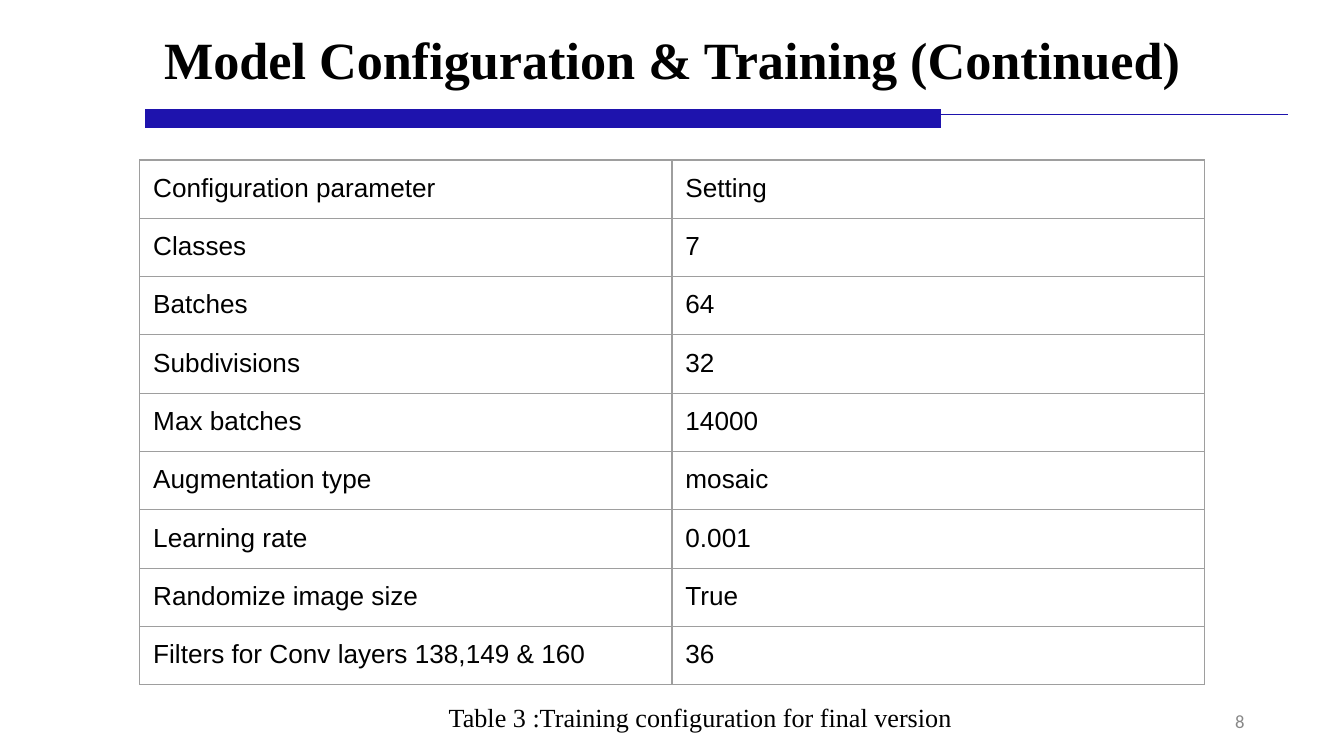
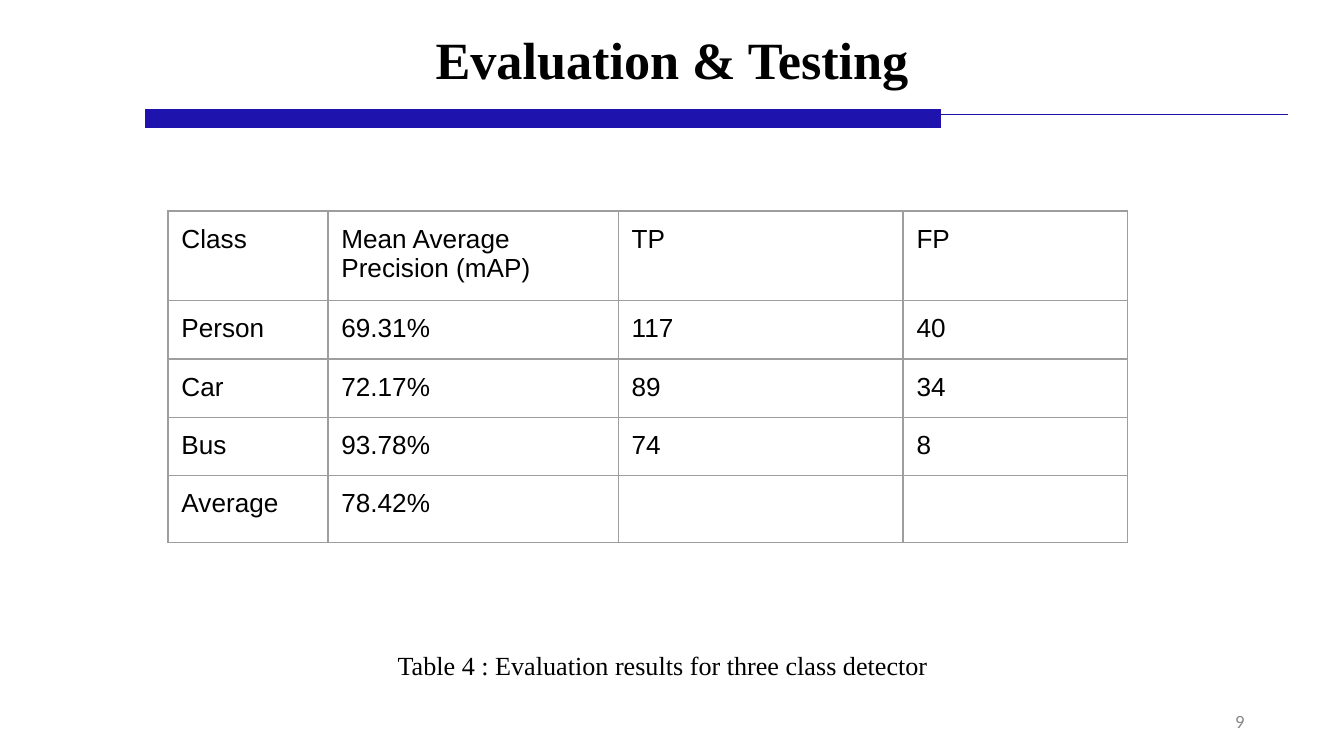
from dataclasses import dataclass

from lxml.etree import SubElement
from pptx import Presentation
from pptx.dml.color import RGBColor as Rgb
from pptx.enum.shapes import MSO_CONNECTOR as Link
from pptx.enum.text import MSO_ANCHOR as Anchor, PP_ALIGN as Align
from pptx.oxml.ns import qn
from pptx.util import Inches, Pt


@dataclass(frozen=True)
class Theme:
    ink: str = "000000"
    bar: str = "1E13AD"
    grid: str = "9E9E9E"
    mute: str = "888888"
    serif: str = "Times New Roman"
    sans: str = "Arial"
    foot: str = "Calibri"
    head: int = 28
    body: int = 14
    small: int = 10
    thin: float = 0.75
    thick: float = 10


THEME = Theme()
TITLE = (0.5, 0.14, 9, 0.59)
RULES = (1.08, 0.85, 8.5, 0.03)
NUMBER = (9.12, 5.26, 0.19, 0.21)
ROW = 0.41

SETUP = [
    ("Configuration parameter", "Setting"),
    ("Classes", "7"),
    ("Batches", "64"),
    ("Subdivisions", "32"),
    ("Max batches", "14000"),
    ("Augmentation type", "mosaic"),
    ("Learning rate", "0.001"),
    ("Randomize image size", "True"),
    ("Filters for Conv layers 138,149 & 160", "36"),
]
SCORES = [
    ("Class", "Mean Average Precision (mAP)", "TP", "FP"),
    ("Person", "69.31%", "117", "40"),
    ("Car", "72.17%", "89", "34"),
    ("Bus", "93.78%", "74", "8"),
    ("Average", "78.42%", "", ""),
]


def style(frame, font, size, color, bold=False, align=Align.LEFT):
    for para in frame.paragraphs:
        para.alignment = align
        for run in para.runs:
            run.font.name = font
            run.font.size = Pt(size)
            run.font.bold = bold
            run.font.color.rgb = Rgb.from_string(color)


def add_text(slide, box, text, inset, anchor, **look):
    frame = slide.shapes.add_textbox(*map(Inches, box)).text_frame
    frame.word_wrap = True
    frame.vertical_anchor = anchor
    frame.margin_left = frame.margin_right = Inches(inset)
    frame.margin_top = frame.margin_bottom = Inches(inset)
    frame.text = text
    style(frame, **look)


def add_rule(slide, left, right, top, width):
    ends = map(Inches, (left, top, right, top))
    rule = slide.shapes.add_connector(Link.STRAIGHT, *ends)
    rule.line.color.rgb = Rgb.from_string(THEME.bar)
    rule.line.width = Pt(width)
    SubElement(rule._element.spPr, qn("a:effectLst"))


def add_rules(slide, box):
    left, top, width, drop = box
    add_rule(slide, left + 0.17, left + width, top, THEME.thin)
    add_rule(slide, left, left + 5.92, top + drop, THEME.thick)


def add_edges(cell):
    props = cell._tc.get_or_add_tcPr()
    for side in ("lnL", "lnR", "lnT", "lnB"):
        edge = SubElement(props, qn(f"a:{side}"), w=str(Pt(THEME.thin)))
        fill = SubElement(edge, qn("a:solidFill"))
        SubElement(fill, qn("a:srgbClr"), val=THEME.grid)


def add_grid(slide, spot, rows, widths):
    size = (sum(widths), ROW * len(rows))
    area = map(Inches, (*spot, *size))
    table = slide.shapes.add_table(len(rows), len(widths), *area).table
    table.first_row = table.horz_banding = False
    for col, width in zip(table.columns, widths):
        col.width = Inches(width)
    for line, texts in zip(table.rows, rows):
        line.height = Inches(ROW)
        for cell, text in zip(line.cells, texts):
            cell.margin_left = cell.margin_right = Inches(0.1)
            cell.margin_top = cell.margin_bottom = Inches(0.1)
            cell.text = text
            style(cell.text_frame, THEME.sans, THEME.body, THEME.ink)
            add_edges(cell)
            cell.fill.background()


def add_page(deck, title, number):
    slide = deck.slides.add_slide(deck.slide_layouts[6])
    add_text(slide, TITLE, title, 0.05, Anchor.MIDDLE, font=THEME.serif,
             size=THEME.head, color=THEME.ink, bold=True, align=Align.CENTER)
    add_rules(slide, RULES)
    add_text(slide, NUMBER, str(number), 0.05, Anchor.MIDDLE, font=THEME.foot,
             size=THEME.small, color=THEME.mute, align=Align.RIGHT)
    return slide


def add_note(slide, left, top, text):
    add_text(slide, (left, top, 4.27, 0.26), text, 0.1, Anchor.TOP,
             font=THEME.serif, size=THEME.body, color=THEME.ink)


def add_setup(deck):
    slide = add_page(deck, "Model Configuration & Training (Continued)", 8)
    add_grid(slide, (1.04, 1.19), SETUP, [3.96] * 2)
    add_note(slide, 3.24, 5.12, "Table 3 :Training configuration for final version")


def add_scores(deck):
    slide = add_page(deck, "Evaluation & Testing", 9)
    add_grid(slide, (1.25, 1.57), SCORES, [1.19, 2.16, 2.12, 1.67])
    add_note(slide, 2.86, 4.73, "Table 4 : Evaluation results for three class detector")


def main():
    deck = Presentation()
    deck.slide_width = Inches(10)
    deck.slide_height = deck.slide_width * 9 // 16
    add_setup(deck)
    add_scores(deck)
    deck.save("out.pptx")


if __name__ == "__main__":
    main()
